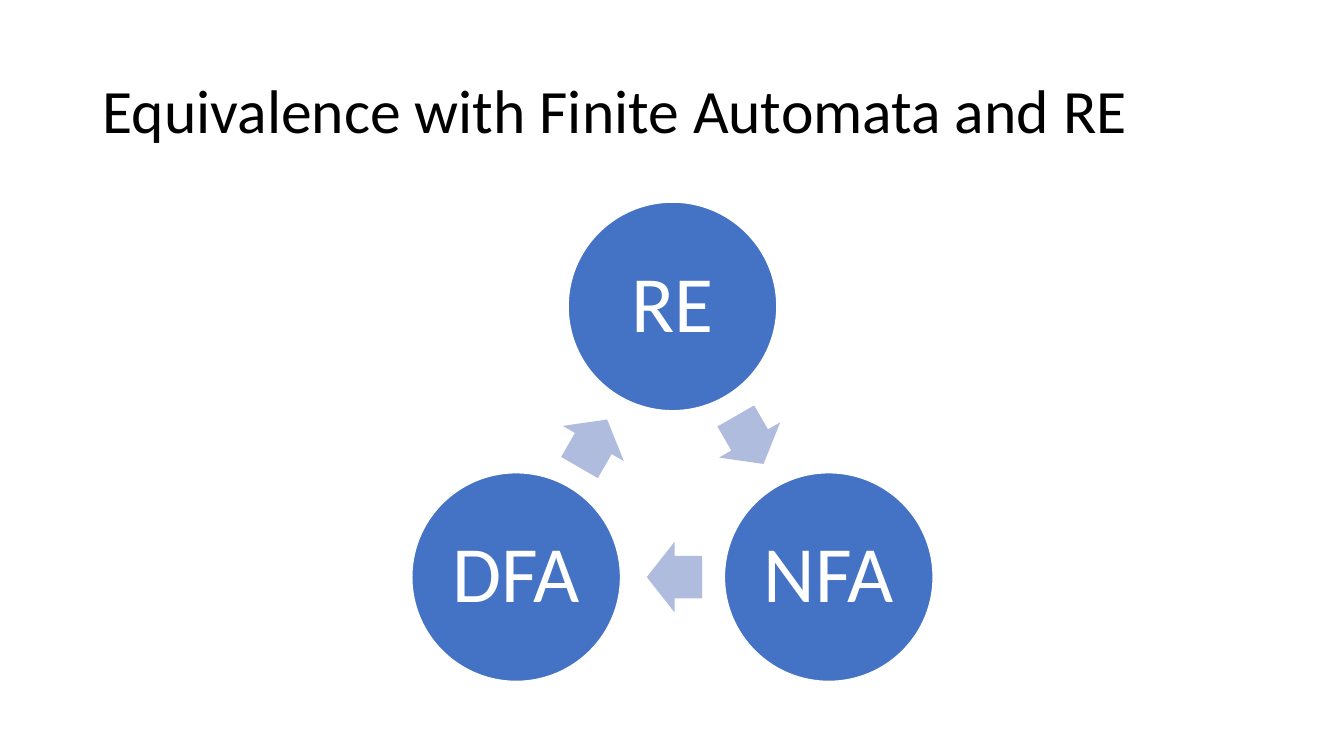
"""Build a slide showing the cycle of equivalence between RE, NFA and DFA."""
from dataclasses import dataclass
from math import cos, radians, sin

from pptx import Presentation
from pptx.dml.color import RGBColor
from pptx.enum.shapes import MSO_SHAPE
from pptx.enum.text import MSO_ANCHOR, PP_ALIGN
from pptx.shapes.group import GroupShape
from pptx.slide import Slide
from pptx.text.text import TextFrame
from pptx.util import Inches, Pt

CIRCLE = MSO_SHAPE.OVAL
ARROW = MSO_SHAPE.RIGHT_ARROW
MIDDLE = MSO_ANCHOR.MIDDLE
LEFT = PP_ALIGN.LEFT
CENTER = PP_ALIGN.CENTER


@dataclass(frozen=True)
class Theme:
    font: str = "Calibri"
    title_size: int = 44
    node_size: int = 57
    title_color: RGBColor = RGBColor(0x00, 0x00, 0x00)
    node_text: RGBColor = RGBColor(0xFF, 0xFF, 0xFF)
    node_fill: RGBColor = RGBColor(0x44, 0x72, 0xC4)
    node_line: RGBColor = RGBColor(0xFF, 0xFF, 0xFF)
    arrow_fill: RGBColor = RGBColor(0xB0, 0xBC, 0xDE)


@dataclass(frozen=True)
class Node:
    label: str
    angle: float


@dataclass(frozen=True)
class Cycle:
    center_x: float = 6.67
    center_y: float = 4.83
    radius: float = 1.79
    diameter: float = 2.07
    arrow_width: float = 0.55
    arrow_height: float = 0.7
    arrow_setback: float = 0.02


THEME = Theme()
CYCLE = Cycle()
NODES = [Node(label, -90 + 120 * index) for index, label in enumerate(("RE", "NFA", "DFA"))]


def write(frame: TextFrame, text: str, size: int, color: RGBColor, align: PP_ALIGN) -> None:
    frame.vertical_anchor = MIDDLE
    para = frame.paragraphs[0]
    para.alignment = align
    para.line_spacing = 0.9
    span = para.add_run()
    span.text = text
    span.font.name = THEME.font
    span.font.size = Pt(size)
    span.font.color.rgb = color


def draw_title(page: Slide, text: str) -> None:
    box = page.shapes.add_textbox(Inches(0.92), Inches(0.4), Inches(11.5), Inches(1.45))
    box.text_frame.word_wrap = True
    write(box.text_frame, text, THEME.title_size, THEME.title_color, LEFT)


def draw_node(group: GroupShape, node: Node) -> None:
    turn = radians(node.angle)
    left = CYCLE.center_x + CYCLE.radius * cos(turn) - CYCLE.diameter / 2
    top = CYCLE.center_y + CYCLE.radius * sin(turn) - CYCLE.diameter / 2
    side = Inches(CYCLE.diameter)
    circle = group.shapes.add_shape(CIRCLE, Inches(left), Inches(top), side, side)
    circle.shadow.inherit = False
    circle.fill.solid()
    circle.fill.fore_color.rgb = THEME.node_fill
    circle.line.color.rgb = THEME.node_line
    circle.line.width = Pt(1)
    frame = circle.text_frame
    frame.word_wrap = False
    frame.margin_left = frame.margin_right = Inches(0.08)
    frame.margin_top = frame.margin_bottom = Inches(0.08)
    write(frame, node.label, THEME.node_size, THEME.node_text, CENTER)


def draw_arrow(group: GroupShape, node: Node) -> None:
    turn = radians(node.angle + 60)
    heading = node.angle + 150
    middle_x = CYCLE.center_x + CYCLE.radius / 2 * cos(turn)
    middle_y = CYCLE.center_y + CYCLE.radius / 2 * sin(turn)
    middle_x -= CYCLE.arrow_setback * cos(radians(heading))
    middle_y -= CYCLE.arrow_setback * sin(radians(heading))
    arrow = group.shapes.add_shape(
        ARROW,
        Inches(middle_x - CYCLE.arrow_width / 2),
        Inches(middle_y - CYCLE.arrow_height / 2),
        Inches(CYCLE.arrow_width),
        Inches(CYCLE.arrow_height),
    )
    arrow.adjustments[0] = 0.6
    arrow.adjustments[1] = 0.5
    arrow.rotation = heading
    arrow.shadow.inherit = False
    arrow.fill.solid()
    arrow.fill.fore_color.rgb = THEME.arrow_fill
    arrow.line.fill.background()


def main() -> None:
    deck = Presentation()
    deck.slide_width = Inches(13.33)
    deck.slide_height = Inches(7.5)
    page = deck.slides.add_slide(deck.slide_layouts[6])
    draw_title(page, "Equivalence with Finite Automata and RE")
    group = page.shapes.add_group_shape()
    for node in NODES:
        draw_node(group, node)
        draw_arrow(group, node)
    deck.save("out.pptx")


if __name__ == "__main__":
    main()
